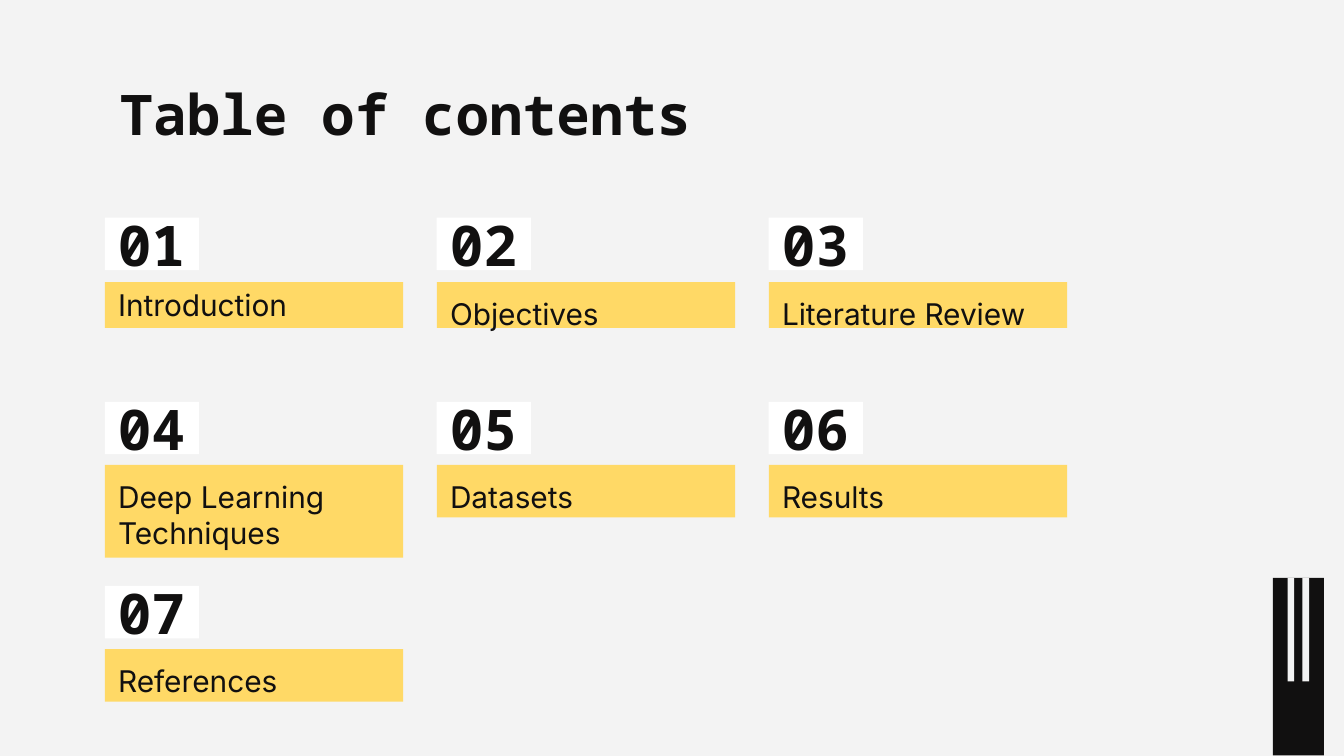
from dataclasses import dataclass

from pptx import Presentation
from pptx import util as u
from pptx.dml.color import RGBColor
from pptx.enum import shapes, text


@dataclass(frozen=True)
class Theme:
    ink: str = "111010"
    paper: str = "F3F3F3"
    white: str = "FFFFFF"
    yellow: str = "FFD966"
    heading_font: str = "Noto Sans Mono"
    body_font: str = "Inter"
    heading_size: int = 30
    body_size: int = 16


THEME = Theme()
HEADING = {"name": THEME.heading_font, "size": u.Pt(THEME.heading_size), "bold": True}
BODY = {"name": THEME.body_font, "size": u.Pt(THEME.body_size), "bold": False}
TOP, MIDDLE = text.MSO_ANCHOR.TOP, text.MSO_ANCHOR.MIDDLE

# Contents grid
COLUMNS = 3
LEFT, COLUMN_STEP = 0.78, 2.47
NUMBER_TOP, ROW_STEP = 1.62, 1.37
NUMBER_WIDTH, NUMBER_HEIGHT = 0.7, 0.39
LABEL_WIDTH = 2.22
LABEL_TOPS = (2.1, 3.46, 4.83)

# Topic, label height, label anchor
TOPICS = (
    ("Introduction", 0.34, MIDDLE),
    ("Objectives", 0.34, TOP),
    ("Literature Review", 0.34, TOP),
    ("Deep Learning Techniques", 0.69, TOP),
    ("Datasets", 0.39, TOP),
    ("Results", 0.39, TOP),
    ("References", 0.39, TOP),
)


def set_text(box, words, font, anchor=TOP, wrap=True):
    frame = box.text_frame
    frame.text = words
    inset = u.Inches(0.1)
    layout = {
        "auto_size": text.MSO_AUTO_SIZE.NONE,
        "word_wrap": wrap,
        "vertical_anchor": anchor,
        "margin_left": inset,
        "margin_top": inset,
        "margin_right": inset,
        "margin_bottom": inset,
    }
    for name, value in layout.items():
        setattr(frame, name, value)
    para = frame.paragraphs[0]
    para.alignment = text.PP_ALIGN.LEFT
    span = para.runs[0]
    for name, value in font.items():
        setattr(span.font, name, value)
    span.font.color.rgb = RGBColor.from_string(THEME.ink)


def add_block(page, left, top, width, height, colour):
    block = page.shapes.add_shape(
        shapes.MSO_SHAPE.RECTANGLE,
        u.Inches(left), u.Inches(top), u.Inches(width), u.Inches(height),
    )
    block.shadow.inherit = False
    block.fill.solid()
    block.fill.fore_color.rgb = RGBColor.from_string(colour)
    block.line.fill.background()
    return block


def add_corner_mark(page):
    add_block(page, 9.47, 4.3, 0.38, 1.32, THEME.ink)
    for left in (9.58, 9.69):
        add_block(page, left, 4.3, 0.05, 0.77, THEME.paper)


def add_title(page, words):
    title = page.shapes.title
    place = {"left": 0.79, "top": 0.49, "width": 8.43, "height": 0.63}
    for name, value in place.items():
        setattr(title, name, u.Inches(value))
    set_text(title, words, HEADING)


def add_topic(page, index, topic, height, anchor):
    row, column = divmod(index, COLUMNS)
    left = LEFT + column * COLUMN_STEP
    number = add_block(page, left, NUMBER_TOP + row * ROW_STEP,
                       NUMBER_WIDTH, NUMBER_HEIGHT, THEME.white)
    set_text(number, f"{index + 1:02}", HEADING, MIDDLE, wrap=False)
    label = add_block(page, left, LABEL_TOPS[row], LABEL_WIDTH, height, THEME.yellow)
    set_text(label, topic, BODY, anchor)


def main():
    deck = Presentation()
    # Widescreen page, 16:9
    deck.slide_width = u.Inches(10)
    deck.slide_height = u.Inches(10 * 9 / 16)
    page = deck.slides.add_slide(deck.slide_layouts[5])
    page.background.fill.solid()
    page.background.fill.fore_color.rgb = RGBColor.from_string(THEME.paper)

    # Decoration and heading
    add_corner_mark(page)
    add_title(page, "Table of contents")

    # Numbered topics
    for index, (topic, height, anchor) in enumerate(TOPICS):
        add_topic(page, index, topic, height, anchor)

    deck.save("out.pptx")


if __name__ == "__main__":
    main()
